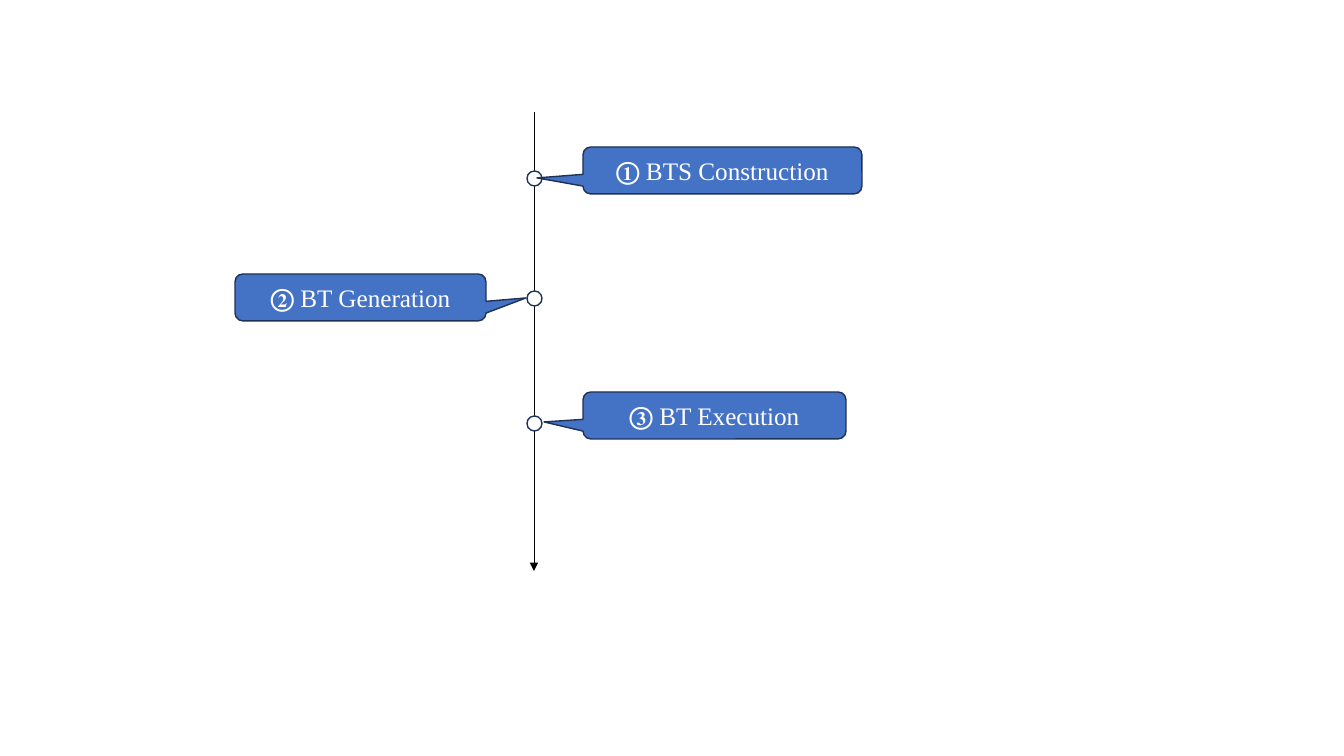
from pptx import Presentation
from pptx.dml.color import RGBColor
from pptx.enum.shapes import MSO_CONNECTOR, MSO_SHAPE
from pptx.enum.text import MSO_ANCHOR, PP_ALIGN
from pptx.oxml.ns import qn
from pptx.util import Pt
from lxml.etree import SubElement

STEPS = [
    {"mark": "① ", "name": "BTS Construction", "box": (583, 147, 279), "tip": (537, 178), "dot_top": 171},
    {"mark": "② ", "name": "BT Generation", "box": (235, 274, 251), "tip": (526, 298), "dot_top": 291},
    {"mark": "③ ", "name": "BT Execution", "box": (583, 392, 263), "tip": (544, 422), "dot_top": 416},
]
AXIS_X, AXIS_TOP, AXIS_BOTTOM = 534, 112, 571
DOT, BOX_H = 15, 47
FONT = "Times New Roman"
BLACK = RGBColor(0x00, 0x00, 0x00)
WHITE = RGBColor(0xFF, 0xFF, 0xFF)
BLUE = RGBColor(0x44, 0x72, 0xC4)
NAVY = RGBColor(0x1E, 0x32, 0x56)


def px(n):
    return round(n * 914400 / 100.8)


def add_shape(s, kind, x, y, w, h, fill):
    sp = s.shapes.add_shape(kind, px(x), px(y), px(w), px(h))
    sp.shadow.inherit = False
    sp.fill.solid()
    sp.fill.fore_color.rgb = fill
    sp.line.color.rgb = NAVY
    sp.line.width = Pt(1)
    return sp


def add_run(p, text, bold=False, size=18, color=WHITE):
    r = p.add_run()
    r.text = text
    r.font.name = FONT
    r.font.size = Pt(size)
    r.font.bold = bold
    r.font.color.rgb = color


def add_axis(s):
    line = s.shapes.add_connector(
        MSO_CONNECTOR.STRAIGHT, px(AXIS_X), px(AXIS_TOP), px(AXIS_X), px(AXIS_BOTTOM))
    line.line.color.rgb = BLACK
    line.line.width = Pt(0.5)
    SubElement(line.line._get_or_add_ln(), qn("a:tailEnd"), type="triangle")
    SubElement(line._element.spPr, qn("a:effectLst"))


def add_callout(s, step):
    x, y, w = step["box"]
    tip_x, tip_y = step["tip"]
    sp = add_shape(s, MSO_SHAPE.ROUNDED_RECTANGULAR_CALLOUT, x, y, w, BOX_H, BLUE)
    sp.adjustments[0] = (tip_x - x - w / 2) / w
    sp.adjustments[1] = (tip_y - y - BOX_H / 2) / BOX_H
    tf = sp.text_frame
    tf.word_wrap = True
    tf.vertical_anchor = MSO_ANCHOR.MIDDLE
    p = tf.paragraphs[0]
    p.alignment = PP_ALIGN.CENTER
    add_run(p, step["mark"], bold=True)
    add_run(p, step["name"])


def main():
    prs = Presentation()
    prs.slide_width, prs.slide_height = px(1344), px(756)
    s = prs.slides.add_slide(prs.slide_layouts[6])
    add_axis(s)
    for step in STEPS:
        add_shape(s, MSO_SHAPE.OVAL, AXIS_X - DOT // 2, step["dot_top"], DOT, DOT, WHITE)
        add_callout(s, step)
    prs.save("out.pptx")


if __name__ == "__main__":
    main()
